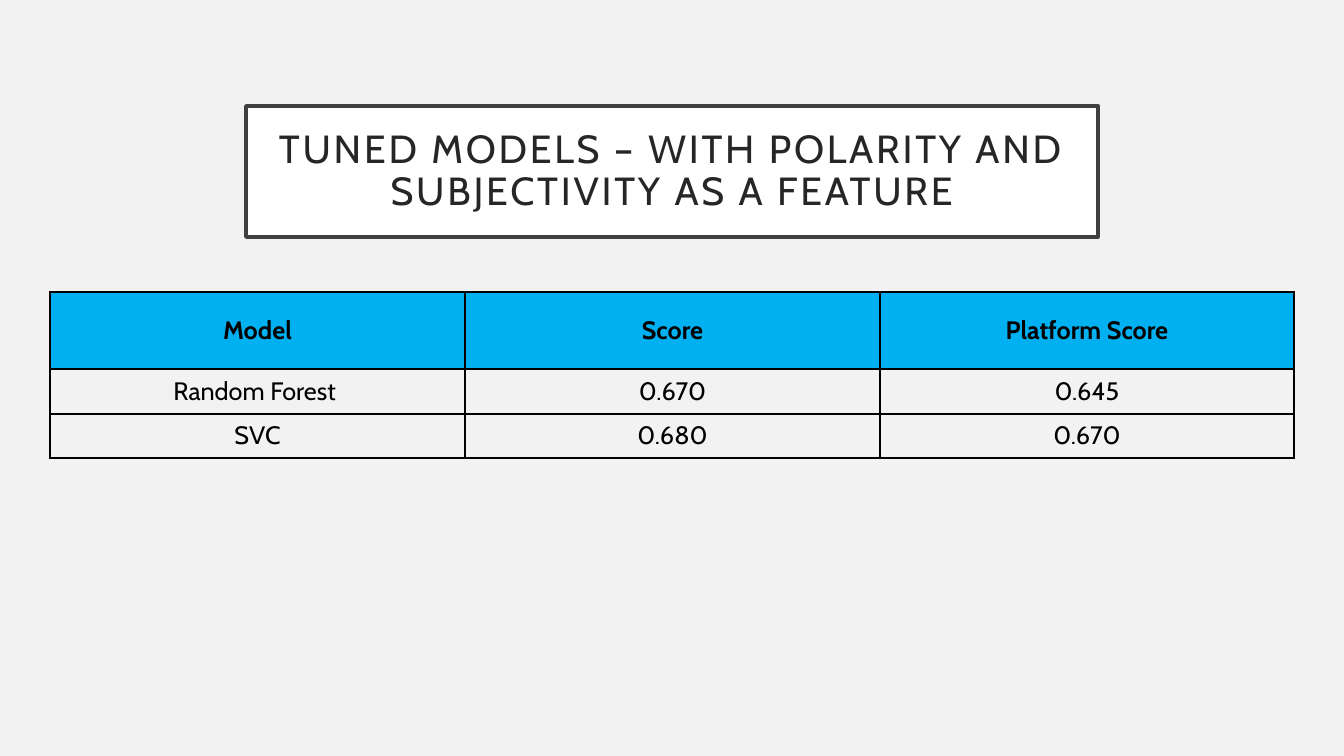
from dataclasses import dataclass

from lxml.etree import SubElement
from pptx import Presentation
from pptx.dml.color import RGBColor
from pptx.enum.text import MSO_ANCHOR, MSO_AUTO_SIZE, PP_ALIGN
from pptx.oxml.ns import qn
from pptx.util import Emu, Pt


@dataclass(frozen=True)
class Theme:
    font: str = "Cabin"
    back: str = "F2F2F2"
    panel: str = "FFFFFF"
    frame: str = "404040"
    title: str = "262626"
    head: str = "00B0F0"
    ink: str = "000000"
    title_size: int = 28
    cell_size: int = 18
    frame_width: float = 2.5
    rule_width: int = 1


THEME = Theme()
SCALE = 914400 / 100.8
TITLE = "TUNED MODELS – WITH POLARITY AND SUBJECTIVITY AS A FEATURE"
ROWS = [
    ("Model", "Score", "Platform Score"),
    ("Random Forest ", "0.670", "0.645"),
    ("SVC", "0.680", "0.670"),
]
WIDTHS = (415, 415, 414)
HEIGHTS = (77, 45, 44)


def px(count):
    return Emu(round(count * SCALE))


def paint(fill, color):
    fill.solid()
    fill.fore_color.rgb = RGBColor.from_string(color)


def style(para, size, color, bold=False):
    para.alignment = PP_ALIGN.CENTER
    font = para.font
    font.name = THEME.font
    font.size = Pt(size)
    font.bold = bold
    font.color.rgb = RGBColor.from_string(color)


def add_title(slide, text, left, top, width, height):
    box = slide.shapes.title
    box.left, box.top, box.width, box.height = map(px, (left, top, width, height))
    paint(box.fill, THEME.panel)
    paint(box.line.fill, THEME.frame)
    box.line.width = Pt(THEME.frame_width)
    frame = box.text_frame
    frame.text = text
    frame.word_wrap = True
    frame.auto_size = MSO_AUTO_SIZE.NONE
    frame.vertical_anchor = MSO_ANCHOR.MIDDLE
    frame.margin_left = frame.margin_right = px(20)
    frame.margin_top = frame.margin_bottom = px(20)
    para = frame.paragraphs[0]
    para.line_spacing = 0.9
    style(para, THEME.title_size, THEME.title)
    para.runs[0].font._element.set("spc", "200")


def add_borders(cell):
    props = cell._tc.get_or_add_tcPr()
    for side in ("a:lnL", "a:lnR", "a:lnT", "a:lnB"):
        line = SubElement(props, qn(side), w=str(Pt(THEME.rule_width)))
        fill = SubElement(line, qn("a:solidFill"))
        SubElement(fill, qn("a:srgbClr"), val=THEME.ink)


def fill_cell(cell, text, head):
    add_borders(cell)
    if head:
        paint(cell.fill, THEME.head)
    else:
        cell.fill.background()
    cell.text = text
    cell.vertical_anchor = MSO_ANCHOR.MIDDLE
    style(cell.text_frame.paragraphs[0], THEME.cell_size, THEME.ink, head)


def add_scores(slide, left, top):
    size = map(px, (left, top, sum(WIDTHS), sum(HEIGHTS)))
    table = slide.shapes.add_table(len(ROWS), len(WIDTHS), *size).table
    table.first_row = table.horz_banding = False
    for col, width in zip(table.columns, WIDTHS):
        col.width = px(width)
    for i, (row, height) in enumerate(zip(table.rows, HEIGHTS)):
        row.height = px(height)
        for cell, text in zip(row.cells, ROWS[i]):
            fill_cell(cell, text, head=i == 0)


def main():
    deck = Presentation()
    deck.slide_width, deck.slide_height = px(1344), px(756)
    slide = deck.slides.add_slide(deck.slide_layouts[5])
    paint(slide.background.fill, THEME.back)
    add_title(slide, TITLE, 246, 106, 852, 131)
    add_scores(slide, 50, 292)
    deck.save("out.pptx")


if __name__ == "__main__":
    main()
